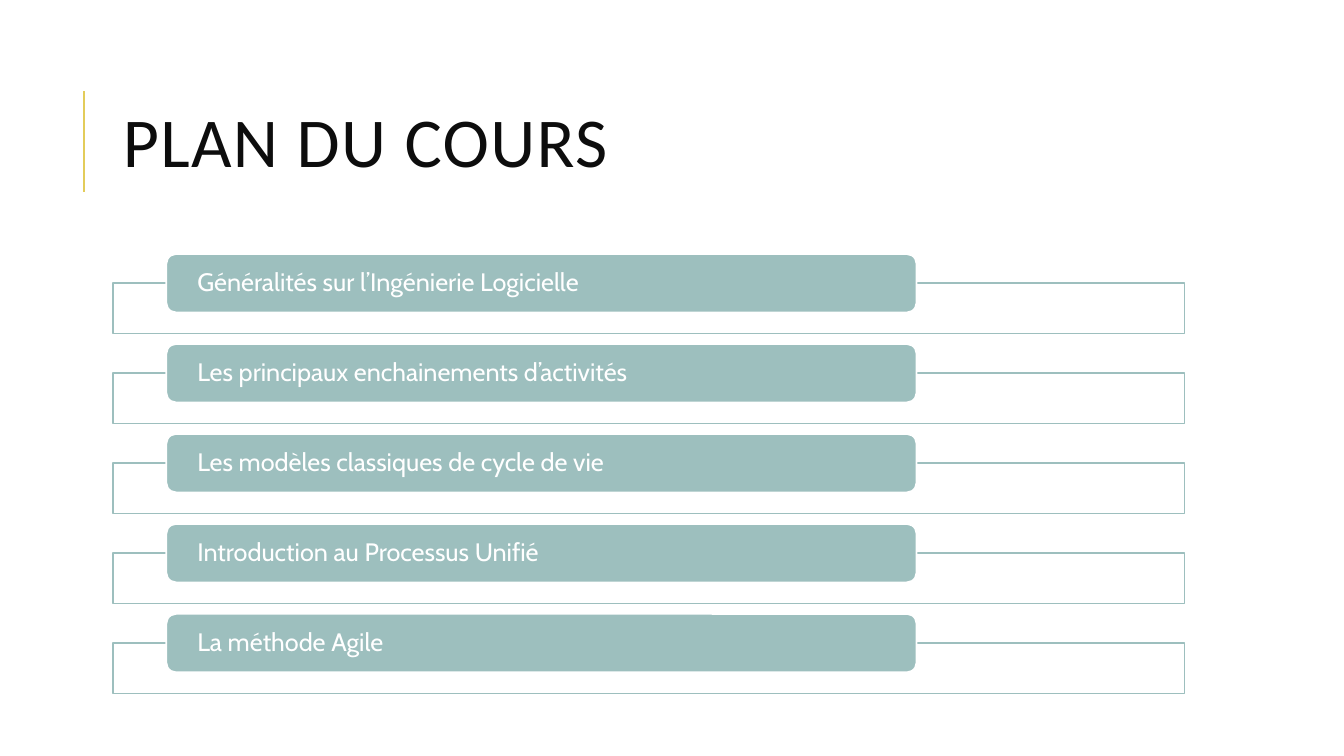
"""Build the course outline slide."""
from dataclasses import dataclass

from lxml import etree
from pptx import Presentation
from pptx.dml.color import RGBColor
from pptx.enum import shapes, text
from pptx.oxml.ns import qn
from pptx.util import Pt

SCALE = 9144
TOPICS = [
    "Généralités sur l’Ingénierie Logicielle",
    "Les principaux enchainements d’activités",
    "Les modèles classiques de cycle de vie",
    "Introduction au Processus Unifié",
    "La méthode Agile",
]


@dataclass(frozen=True)
class Theme:
    """Colours, fonts and type sizes of the deck."""
    accent: str = "9DBFBE"
    rule: str = "E3CC5A"
    ink: str = "0D0D0D"
    paper: str = "FFFFFF"
    title_font: str = "Calibri"
    body_font: str = "Cabin"
    title_size: int = 50
    body_size: int = 18
    rule_width: float = 1.5
    outline_width: float = 1.25


THEME = Theme()


def px(*lengths):
    """Turn lengths in px into whole EMU."""
    return [round(length * SCALE) for length in lengths]


def write(shape, content, *, font, size, color, leading, after=0, inset=10, spacing=0):
    """Write one left-aligned, vertically centred paragraph in a shape."""
    frame = shape.text_frame
    frame.word_wrap = True
    frame.vertical_anchor = text.MSO_ANCHOR.MIDDLE
    frame.margin_left, frame.margin_right = px(inset, inset)
    frame.margin_top = frame.margin_bottom = 0
    para = frame.paragraphs[0]
    para.alignment = text.PP_ALIGN.LEFT
    para.line_spacing = leading
    para.space_after = Pt(after)
    span = para.add_run()
    span.text = content
    span.font.name = font
    span.font.size = Pt(size)
    span.font.color.rgb = RGBColor.from_string(color)
    if spacing:
        span.font._element.set("spc", str(spacing * 100))


def add_block(page, kind, box, *, fill, line, opacity=100):
    """Draw a filled, outlined preset shape."""
    block = page.shapes.add_shape(kind, *px(*box))
    block.shadow.inherit = False
    block.fill.solid()
    block.fill.fore_color.rgb = RGBColor.from_string(fill)
    block.line.color.rgb = RGBColor.from_string(line)
    block.line.width = Pt(THEME.outline_width)
    if opacity < 100:
        color = block._element.spPr.find(qn("a:solidFill"))[0]
        etree.SubElement(color, qn("a:alpha")).set("val", str(opacity * 1000))
    return block


def add_title(page, box, content):
    """Place the title and the upright rule to its left."""
    left, top, width, height = box
    rule_x = left - 29
    rule = page.shapes.add_connector(
        shapes.MSO_CONNECTOR.STRAIGHT, *px(rule_x, top + 126, rule_x, top + 26))
    rule.line.color.rgb = RGBColor.from_string(THEME.rule)
    rule.line.width = Pt(THEME.rule_width)
    etree.SubElement(rule._element.spPr, qn("a:effectLst"))
    title = page.shapes.add_textbox(*px(left, top, width, height))
    write(title, content, font=THEME.title_font, size=THEME.title_size,
          color=THEME.ink, leading=0.8, spacing=1)


def add_topic(page, box, content):
    """Draw one topic: an open frame with a label over its top edge."""
    left, top, width, height = box
    add_block(page, shapes.MSO_SHAPE.RECTANGLE, (left, top + 29, width, height - 29),
              fill=THEME.paper, line=THEME.accent, opacity=90)
    label = add_block(page, shapes.MSO_SHAPE.ROUNDED_RECTANGLE,
                      (left + 53, top, width * 0.7, 58),
                      fill=THEME.accent, line=THEME.paper)
    write(label, content, font=THEME.body_font, size=THEME.body_size,
          color=THEME.paper, leading=0.9, after=6, inset=28)


def add_outline(page, box, topics):
    """Stack the topics at equal steps down the box."""
    left, top, width, height = box
    row = 79
    step = (height - row) / (len(topics) - 1)
    for index, topic in enumerate(topics):
        add_topic(page, (left, top + index * step, width, row), topic)


def main():
    """Build and save the deck."""
    deck = Presentation()
    deck.slide_width, deck.slide_height = px(1333, 750)
    page = deck.slides.add_slide(deck.slide_layouts[6])
    page.background.fill.solid()
    page.background.fill.fore_color.rgb = RGBColor.from_string(THEME.paper)
    add_title(page, (112, 64, 1063, 164), "PLAN DU COURS")
    add_outline(page, (112, 252, 1063, 436), TOPICS)
    deck.save("out.pptx")


if __name__ == "__main__":
    main()
